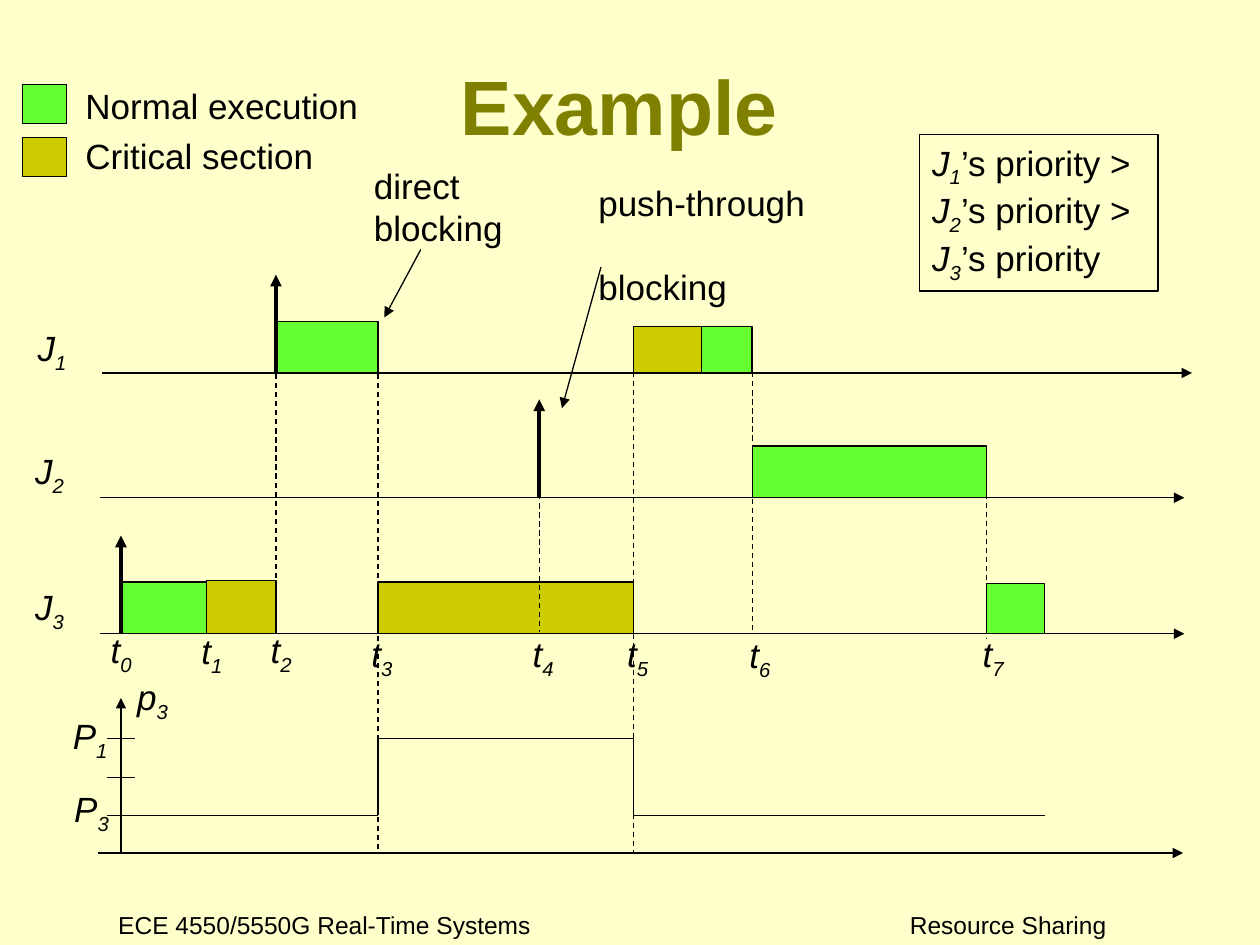
from dataclasses import dataclass

from lxml.etree import SubElement
from pptx import Presentation
from pptx.dml.color import RGBColor as RGB
from pptx.enum.dml import MSO_LINE as Dash
from pptx.enum.shapes import MSO_CONNECTOR as Conn, MSO_SHAPE as Shape
from pptx.enum.text import MSO_ANCHOR as Anchor, PP_ALIGN as Align
from pptx.oxml.ns import qn
from pptx.util import Inches, Pt


@dataclass(frozen=True)
class Theme:
    font: str = "Arial"
    back: RGB = RGB(0xFF, 0xFF, 0xCC)
    ink: RGB = RGB(0, 0, 0)
    head: RGB = RGB(0x80, 0x80, 0)
    normal: RGB = RGB(0x66, 0xFF, 0x33)
    critical: RGB = RGB(0xCC, 0xCC, 0)
    title: int = 44
    body: int = 20
    foot: int = 14
    thin: float = 0.75
    thick: float = 2.25


THEME = Theme()

# Instants t0 to t7, and the end of the schedule
TIMES = [0.96, 1.64, 2.19, 3.0, 4.28, 5.03, 5.97, 7.83]
END = 8.29
AXES = {1: 2.96, 2: 3.95, 3: 5.03}
HIGH, MID, LOW = 5.86, 6.17, 6.47
BASE = 6.77


def style(target, values):
    for name, value in values.items():
        setattr(target, name, value)


def write(frame, lines, size=THEME.body, color=THEME.ink, bold=False,
          align=Align.LEFT, gap=0):
    """Fill a frame; a line is a string or (symbol, subscript, rest)."""
    for i, line in enumerate(lines):
        para = frame.paragraphs[0] if i == 0 else frame.add_paragraph()
        para.alignment = align
        para.space_before = Pt(gap if i else 0)
        parts = ("", "", line) if isinstance(line, str) else line
        for spot, part in enumerate(parts):
            if not part:
                continue
            run = para.add_run()
            run.text = part
            style(run.font, {"name": THEME.font, "size": Pt(size),
                             "bold": bold, "italic": spot < 2})
            run.font.color.rgb = color
            if spot == 1:
                run.font._element.set("baseline", "-25000")


def label(slide, left, top, width, height, lines, wrap=False,
          anchor=Anchor.TOP, **look):
    box = slide.shapes.add_textbox(*map(Inches, (left, top, width, height)))
    style(box.text_frame, {"word_wrap": wrap, "vertical_anchor": anchor})
    write(box.text_frame, lines, **look)


def symbol(slide, left, top, name, sub):
    label(slide, left, top, 0.5, 0.48, [(name, str(sub), "")])


def block(slide, left, top, width, height, fill=None):
    box = slide.shapes.add_shape(
        Shape.RECTANGLE, *map(Inches, (left, top, width, height)))
    box.shadow.inherit = False
    if fill is None:
        box.fill.background()
    else:
        box.fill.solid()
        box.fill.fore_color.rgb = fill
    box.line.color.rgb = THEME.ink
    box.line.width = Pt(THEME.thin)
    return box


def rule(slide, x1, y1, x2, y2, width=THEME.thin, arrow=False, dash=False):
    line = slide.shapes.add_connector(
        Conn.STRAIGHT, *map(Inches, (x1, y1, x2, y2)))
    line.line.color.rgb = THEME.ink
    line.line.width = Pt(width)
    if dash:
        line.line.dash_style = Dash.DASH
    if arrow:
        SubElement(line.line._get_or_add_ln(), qn("a:tailEnd"),
                   type="triangle")
    SubElement(line._element.spPr, qn("a:effectLst"))


def legend(slide):
    rows = [("Normal execution", THEME.normal, 0.67, 0.62),
            ("Critical section", THEME.critical, 1.09, 1.02)]
    for text, fill, top, text_top in rows:
        block(slide, 0.18, top, 0.35, 0.31, fill)
        label(slide, 0.58, text_top, 2.6, 0.44, [text], wrap=True)


def ranks(slide):
    box = block(slide, 7.3, 1.07, 1.89, 1.24)
    box.text_frame.vertical_anchor = Anchor.TOP
    write(box.text_frame, [("J", "1", "’s priority >"),
                           ("J", "2", "’s priority >"),
                           ("J", "3", "’s priority")])


def notes(slide):
    label(slide, 2.87, 1.26, 1.26, 0.77, ["direct", "blocking"], wrap=True)
    rule(slide, 3.34, 1.98, 3.05, 2.52, arrow=True)
    label(slide, 4.65, 1.39, 1.89, 1.1, ["push-through", "blocking"],
          wrap=True, gap=24)
    rule(slide, 4.77, 2.12, 4.46, 3.24, arrow=True)


def schedule(slide):
    t0, t1, t2, t3, t4, t5, t6, t7 = TIMES
    mid = 5.57
    green, gold = THEME.normal, THEME.critical
    bars = [(1, t2, t3, 0.41, green), (1, t5, mid, 0.37, gold),
            (1, mid, t6, 0.37, green), (2, t6, t7, 0.41, green),
            (3, t0, t1, 0.41, green), (3, t1, t2, 0.42, gold),
            (3, t3, t5, 0.41, gold), (3, t7, END, 0.4, green)]
    for job, start, stop, tall, fill in bars:
        block(slide, start, AXES[job] - tall, stop - start, tall, fill)

    axes = [(1, 0.81, 9.46, 0.2, 2.54), (2, 0.79, 9.4, 0.18, 3.52),
            (3, 0.79, 9.4, 0.18, 4.6)]
    for job, left, right, x, y in axes:
        rule(slide, left, AXES[job], right, AXES[job], arrow=True)
        symbol(slide, x, y, "J", job)
    for job, time in [(1, t2), (2, t4), (3, t0)]:
        rule(slide, time, AXES[job], time, AXES[job] - 0.78,
             width=THEME.thick, arrow=True)

    drops = [(t2, 2.97, 4.72), (t3, 2.97, 6.75), (t4, 3.35, 5.02),
             (t5, 2.95, 6.76), (t6, 2.74, 5.03), (t7, 3.63, 5.07)]
    for time, top, foot in drops:
        rule(slide, time, top, time, foot, dash=True)

    marks = [(0.78, 4.94), (1.5, 4.95), (2.05, 4.94), (2.85, 4.97),
             (4.13, 4.97), (4.88, 4.97), (5.85, 4.98), (7.7, 4.97)]
    for i, (x, y) in enumerate(marks):
        symbol(slide, x, y, "t", i)


def level(slide):
    """Draw the priority of job 3 over time."""
    t0, t3, t5 = TIMES[0], TIMES[3], TIMES[5]
    rule(slide, 0.78, BASE, 9.39, BASE, arrow=True)
    rule(slide, t0, BASE, t0, 5.54, arrow=True)
    for y in (HIGH, MID, LOW):
        rule(slide, t0 - 0.11, y, t0 + 0.11, y)
    steps = [(t0, LOW), (t3, LOW), (t3, HIGH), (t5, HIGH), (t5, LOW),
             (END, LOW)]
    for start, stop in zip(steps, steps[1:]):
        rule(slide, *start, *stop)
    symbol(slide, 0.48, 5.62, "P", 1)
    symbol(slide, 0.49, 6.2, "P", 3)
    symbol(slide, 0.99, 5.31, "p", 3)


def main():
    deck = Presentation()
    style(deck, {"slide_width": Inches(10), "slide_height": Inches(7.5)})
    slide = deck.slides.add_slide(deck.slide_layouts[6])
    slide.background.fill.solid()
    slide.background.fill.fore_color.rgb = THEME.back

    label(slide, 0.84, 7.17, 3.6, 0.34, ["ECE 4550/5550G Real-Time Systems"],
          wrap=True, size=THEME.foot)
    label(slide, 6.39, 7.17, 2.49, 0.31, ["Resource Sharing"], wrap=True,
          size=THEME.foot, align=Align.RIGHT)
    label(slide, 0.5, 0.42, 8.83, 0.83, ["Example"], wrap=True,
          anchor=Anchor.MIDDLE, size=THEME.title, color=THEME.head,
          bold=True, align=Align.CENTER)
    ranks(slide)
    legend(slide)
    schedule(slide)
    level(slide)
    notes(slide)
    deck.save("out.pptx")


if __name__ == "__main__":
    main()
